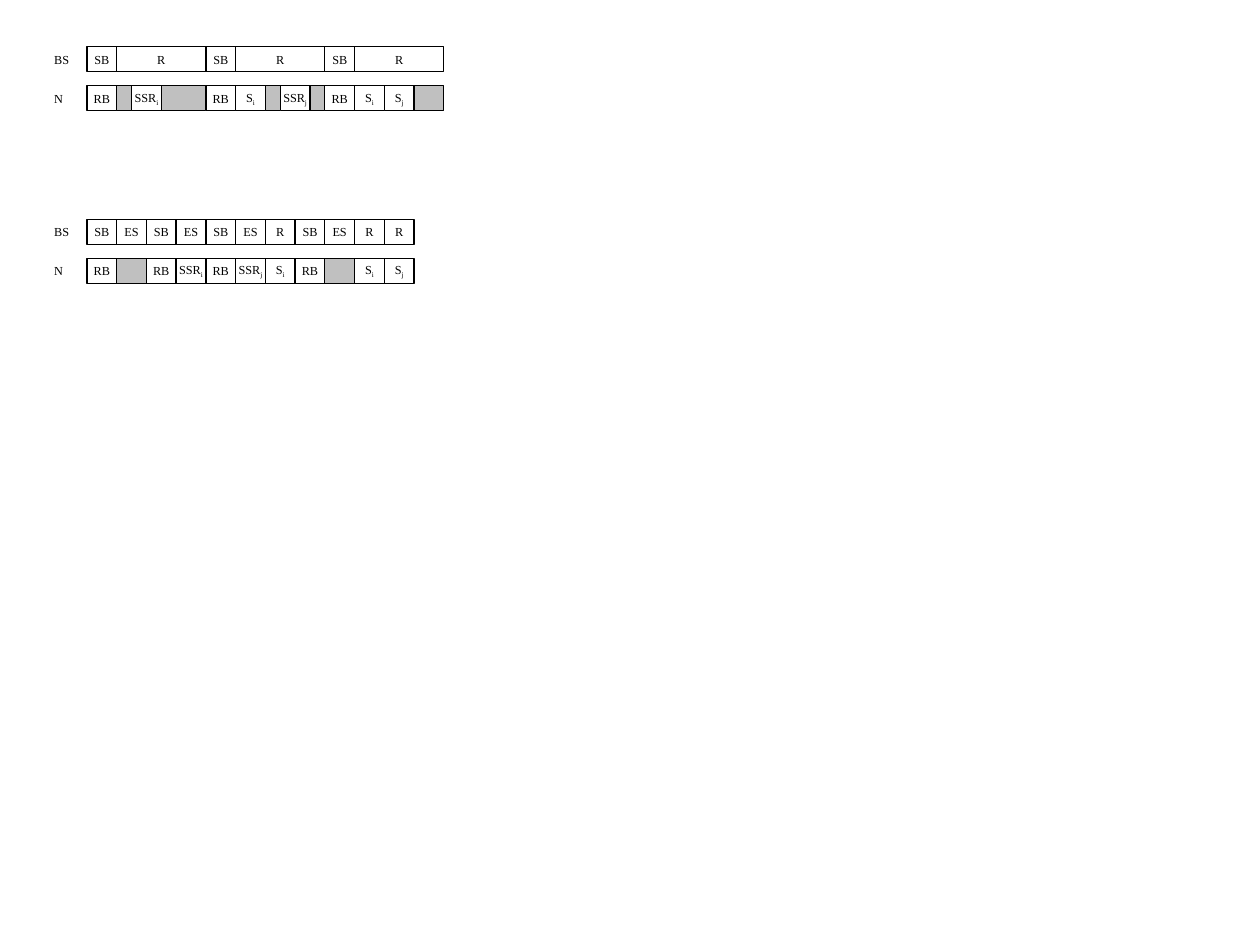
from pptx import Presentation
from pptx.dml.color import RGBColor
from pptx.enum.shapes import MSO_SHAPE
from pptx.enum.text import MSO_ANCHOR, PP_ALIGN
from pptx.util import Inches, Pt

RECT = MSO_SHAPE.RECTANGLE
MIDDLE = MSO_ANCHOR.MIDDLE
LEFT, CENTER = PP_ALIGN.LEFT, PP_ALIGN.CENTER

# Slot grid, in inches
LABEL_X, GRID_X = 0.43, 0.69
COL_W = (3.05 - GRID_X) / 10
ROW_H, ROW_STEP = 0.2, 0.31
BLACK, WHITE, GREY = "000000", "FFFFFF", "C0C0C0"


def rgb(value):
    return RGBColor.from_string(value)


def write(sp, text, align):
    """Write text; whatever follows an underscore becomes a subscript."""
    tf = sp.text_frame
    tf.word_wrap = True
    tf.vertical_anchor = MIDDLE
    tf.margin_left = tf.margin_right = tf.margin_top = tf.margin_bottom = 0
    p = tf.paragraphs[0]
    p.alignment = align
    p.space_before = Pt(4.4)
    p.font.name = "Times New Roman"
    p.font.size = Pt(7)
    p.font.color.rgb = rgb(BLACK)
    base, _, index = text.partition("_")
    p.add_run().text = base
    if index:
        r = p.add_run()
        r.text = index
        r._r.get_or_add_rPr().set("baseline", "-25000")


prs = Presentation()
prs.slide_width, prs.slide_height = Inches(10), Inches(7.5)
s = prs.slides.add_slide(prs.slide_layouts[6])

# Slots are (start column, columns wide, text, fill), from back to front
long_bs = [(c + d, w, t, None) for c in (0, 4, 8)
           for d, w, t in ((0, 1, "SB"), (1, 3, "R"))]
long_n = [(c, 1, "RB", None) for c in (0, 4, 8)]
long_n += [(c, 3, "", GREY) for c in (1, 5, 9)]
long_n += [(c, 1, t, WHITE) for c, t in
           ((1.5, "SSR_i"), (5, "S_i"), (6.5, "SSR_j"), (9, "S_i"), (10, "S_j"))]

short_bs = [(c, 1, t, None) for c, t in
            enumerate("SB ES SB ES SB ES R SB ES R R".split())]
short_n = [(c, 1, t, None if t else GREY) for c, t in
           enumerate("RB,,RB,SSR_i,RB,SSR_j,S_i,RB,,S_i,S_j".split(","))]

# Two schedules, each with a base station row and a node row
for top, bs, n in ((0.37, long_bs, long_n), (1.74, short_bs, short_n)):
    group = s.shapes.add_group_shape()
    for row, (label, slots) in enumerate((("BS", bs), ("N", n))):
        y = Inches(top + row * ROW_STEP)
        tb = group.shapes.add_textbox(Inches(LABEL_X), y, Inches(COL_W), Inches(ROW_H))
        write(tb, label, LEFT)
        for col, width, text, fill in slots:
            sp = group.shapes.add_shape(RECT, Inches(GRID_X + col * COL_W), y,
                                        Inches(width * COL_W), Inches(ROW_H))
            sp.shadow.inherit = False
            sp.line.color.rgb = rgb(BLACK)
            sp.line.width = Pt(0.75)
            if fill:
                sp.fill.solid()
                sp.fill.fore_color.rgb = rgb(fill)
            else:
                sp.fill.background()
            if text:
                write(sp, text, CENTER)

prs.save("out.pptx")
